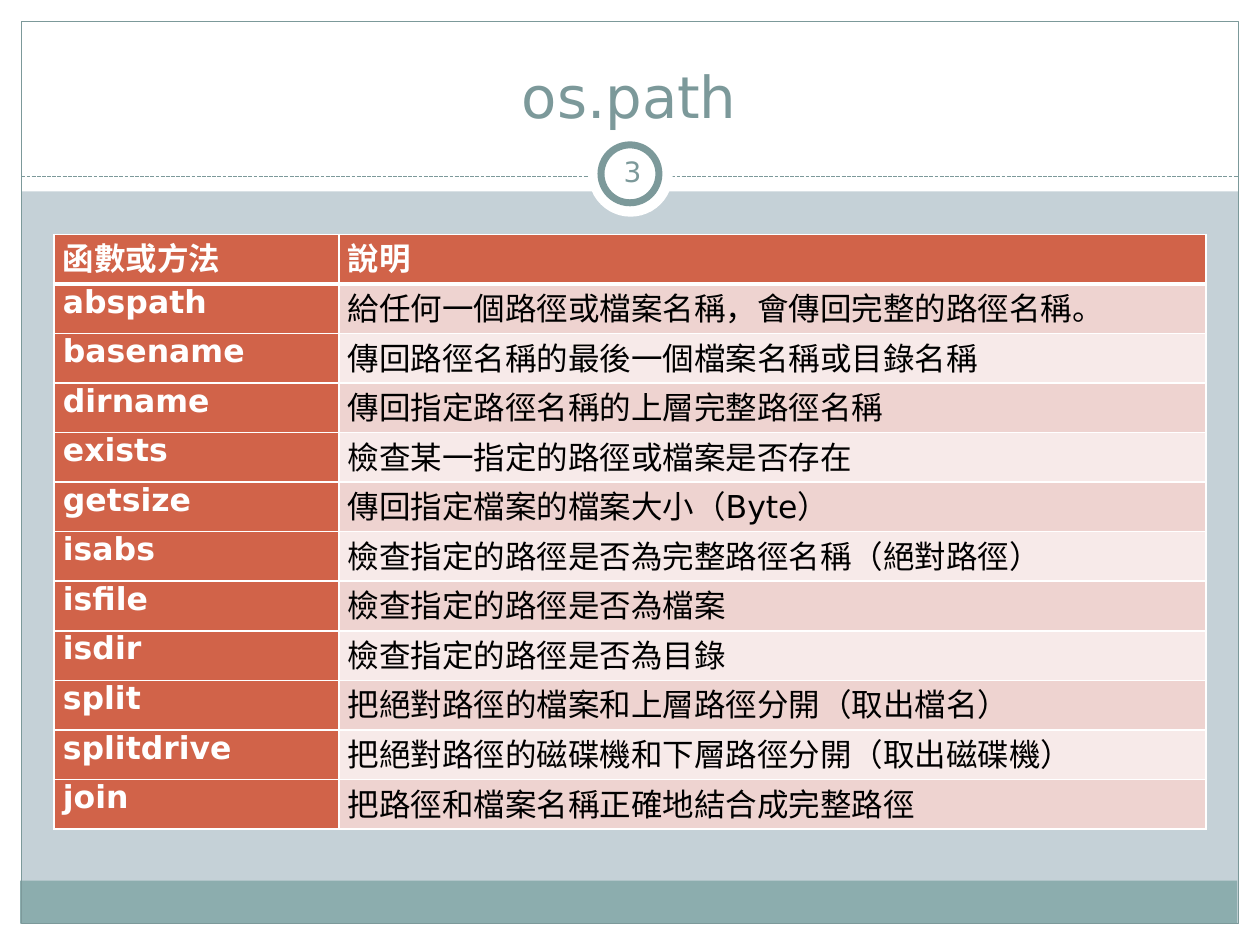
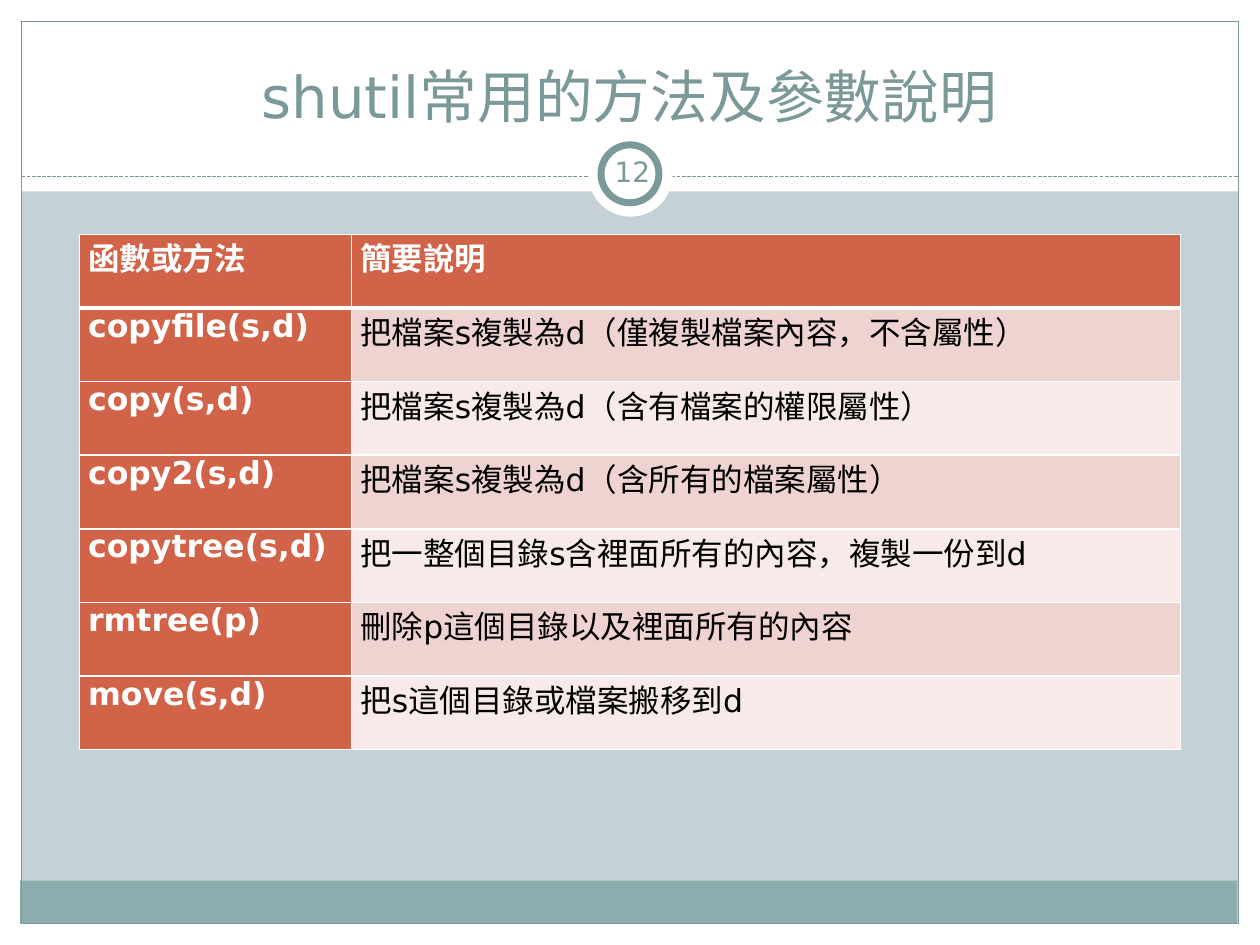
"""Build two reference slides that list file functions in tables."""
import pptx
import pptx.dml.color
import pptx.enum.dml
import pptx.enum.shapes
import pptx.enum.text
import pptx.oxml
import pptx.oxml.ns
import pptx.util
from lxml import etree

Inches = pptx.util.Inches
Pt = pptx.util.Pt
SHAPE = pptx.enum.shapes.MSO_SHAPE
ALIGN = pptx.enum.text.PP_ALIGN
ANCHOR = pptx.enum.text.MSO_ANCHOR

FONT = "DejaVu Sans"
WHITE, BLACK = "FFFFFF", "000000"
BACKDROP, BAND, SLATE = "C5D1D7", "8CADAE", "7C999A"
RUST, ROW_FILLS = "D16349", ["F7EAE9", "EED3D0"]

FRAME = [
    (SHAPE.RECTANGLE, (0, 7.33, 10, 0.17), WHITE, None),
    (SHAPE.RECTANGLE, (0, 0, 10, 1.52), WHITE, None),
    (SHAPE.RECTANGLE, (0, 0, 0.17, 7.5), WHITE, None),
    (SHAPE.RECTANGLE, (9.83, 0, 0.17, 7.5), WHITE, None),
    (SHAPE.RECTANGLE, (0.16, 6.99, 9.66, 0.34), BAND, None),
    (SHAPE.RECTANGLE, (0.17, 0.17, 9.66, 7.16), None, 0.75),
]
BADGE = [
    (SHAPE.OVAL, (4.67, 1.05, 0.67, 0.67), WHITE, None),
    (SHAPE.OVAL, (4.77, 1.15, 0.46, 0.46), WHITE, 4),
]

SLIDES = [
    {
        "title": "os.path",
        "number": "3",
        "table": (0.43, 1.86, 9.13, 4.72),
        "columns": (2.26, 6.88),
        "rows": [
            ("函數或方法", "說明"),
            ("abspath", "給任何一個路徑或檔案名稱，會傳回完整的路徑名稱。"),
            ("basename", "傳回路徑名稱的最後一個檔案名稱或目錄名稱"),
            ("dirname", "傳回指定路徑名稱的上層完整路徑名稱"),
            ("exists", "檢查某一指定的路徑或檔案是否存在"),
            ("getsize", "傳回指定檔案的檔案大小（Byte）"),
            ("isabs", "檢查指定的路徑是否為完整路徑名稱（絕對路徑）"),
            ("isfile", "檢查指定的路徑是否為檔案"),
            ("isdir", "檢查指定的路徑是否為目錄"),
            ("split", "把絕對路徑的檔案和上層路徑分開（取出檔名）"),
            ("splitdrive", "把絕對路徑的磁碟機和下層路徑分開（取出磁碟機）"),
            ("join", "把路徑和檔案名稱正確地結合成完整路徑"),
        ],
    },
    {
        "title": "shutil常用的方法及參數說明",
        "number": "12",
        "table": (0.63, 1.86, 8.74, 4.09),
        "columns": (2.16, 6.58),
        "rows": [
            ("函數或方法", "簡要說明"),
            ("copyfile(s,d)", "把檔案s複製為d（僅複製檔案內容，不含屬性）"),
            ("copy(s,d)", "把檔案s複製為d（含有檔案的權限屬性）"),
            ("copy2(s,d)", "把檔案s複製為d（含所有的檔案屬性）"),
            ("copytree(s,d)", "把一整個目錄s含裡面所有的內容，複製一份到d"),
            ("rmtree(p)", "刪除p這個目錄以及裡面所有的內容"),
            ("move(s,d)", "把s這個目錄或檔案搬移到d"),
        ],
    },
]


def paint(color_format, color):
    """Set a fill or font colour from a hex string."""
    if hasattr(color_format, "solid"):
        color_format.solid()
        color_format = color_format.fore_color
    color_format.rgb = pptx.dml.color.RGBColor.from_string(color)


def write(frame, text, size, color, align, bold=False):
    """Write one styled paragraph into a text frame."""
    paragraph = frame.paragraphs[0]
    paragraph.text = text
    paragraph.alignment = align
    paragraph.font.name = FONT
    paragraph.font.size = Pt(size)
    paragraph.font.bold = bold
    paint(paragraph.font.color, color)


deck = pptx.Presentation()
deck.slide_width, deck.slide_height = Inches(10), Inches(7.5)

for content in SLIDES:
    page = deck.slides.add_slide(deck.slide_layouts[6])
    paint(page.background.fill, BACKDROP)

    for parts in (FRAME, BADGE):
        if parts is BADGE:
            rule = page.shapes.add_connector(
                pptx.enum.shapes.MSO_CONNECTOR.STRAIGHT,
                Inches(0.17), Inches(1.4), Inches(9.83), Inches(1.4))
            paint(rule.line.fill, SLATE)
            rule.line.width = Pt(0.75)
            rule.line.dash_style = pptx.enum.dml.MSO_LINE.SQUARE_DOT
            etree.SubElement(rule._element.spPr, pptx.oxml.ns.qn("a:effectLst"))
        for kind, place, fill, line_width in parts:
            shape = page.shapes.add_shape(kind, *map(Inches, place))
            shape.shadow.inherit = False
            if fill:
                paint(shape.fill, fill)
            else:
                shape.fill.background()
            if line_width:
                paint(shape.line.fill, SLATE)
                shape.line.width = Pt(line_width)
            else:
                shape.line.fill.background()

    title = page.shapes.add_textbox(*map(Inches, (0.33, 0.25, 9.33, 0.83))).text_frame
    title.word_wrap = True
    title.vertical_anchor = ANCHOR.BOTTOM
    write(title, content["title"], 33, SLATE, ALIGN.CENTER)

    rows = content["rows"]
    table = page.shapes.add_table(len(rows), 2, *map(Inches, content["table"])).table
    table.first_row = table.horz_banding = False
    for column, width in zip(table.columns, content["columns"]):
        column.width = Inches(width)
    for row_index, row in enumerate(rows):
        for column_index, text in enumerate(row):
            cell = table.cell(row_index, column_index)
            cell.margin_left = cell.margin_right = Inches(0.07)
            cell.margin_top = cell.margin_bottom = 0
            heading = row_index == 0 or column_index == 0
            write(cell.text_frame, text, 18, WHITE if heading else BLACK,
                  ALIGN.JUSTIFY, heading)
            for side in "LRTB":
                thick = (row_index, side) in ((0, "B"), (1, "T"))
                cell._tc.get_or_add_tcPr().append(pptx.oxml.parse_xml(
                    f'<a:ln{side} {pptx.oxml.ns.nsdecls("a")} w="{Pt(3 if thick else 1)}">'
                    f'<a:solidFill><a:srgbClr val="{WHITE}"/></a:solidFill></a:ln{side}>'))
            paint(cell.fill, RUST if heading else ROW_FILLS[row_index % 2])

    number = page.shapes.add_textbox(*map(Inches, (4.77, 1.12, 0.5, 0.48))).text_frame
    number.word_wrap = True
    number.vertical_anchor = ANCHOR.MIDDLE
    number.margin_left = number.margin_right = Inches(0.05)
    number.margin_top = number.margin_bottom = Inches(0.05)
    write(number, content["number"], 16, SLATE, ALIGN.CENTER)

deck.save("out.pptx")
